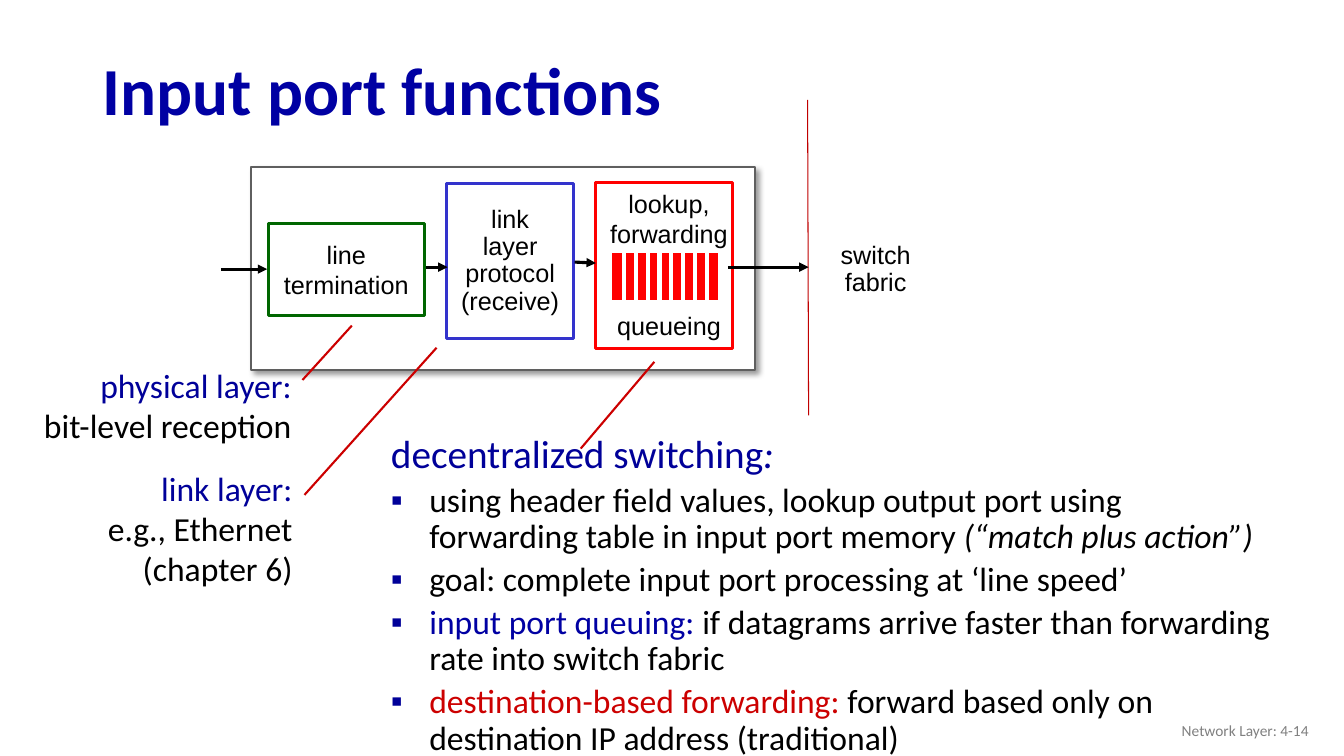
from lxml import etree
from pptx import Presentation
from pptx.dml.color import RGBColor
from pptx.enum.shapes import MSO_CONNECTOR, MSO_SHAPE
from pptx.enum.text import MSO_ANCHOR as Anchor, MSO_AUTO_SIZE as AutoSize, PP_ALIGN as Align
from pptx.oxml import parse_xml
from pptx.oxml.ns import nsdecls, qn
from pptx.util import Inches, Pt

BLACK = RGBColor(0x00, 0x00, 0x00)
WHITE = RGBColor(0xFF, 0xFF, 0xFF)
GRAY = RGBColor(0x80, 0x80, 0x80)
FRAME_GRAY = RGBColor(0x5F, 0x5F, 0x5F)
TITLE_BLUE = RGBColor(0x00, 0x00, 0xA3)
NAVY = RGBColor(0x00, 0x00, 0x99)
BOX_BLUE = RGBColor(0x33, 0x33, 0xCC)
GREEN = RGBColor(0x00, 0x66, 0x00)
RED = RGBColor(0xFF, 0x00, 0x00)
CRIMSON = RGBColor(0xCC, 0x00, 0x00)
DARK_RED = RGBColor(0xC0, 0x00, 0x00)


class SlideBuilder:
    body_font = "Calibri"
    diagram_font = "Arial"

    def __init__(self, slide):
        self.slide = slide

    def add_run(self, paragraph, text, size, color, font=body_font, bold=False, italic=False):
        run = paragraph.add_run()
        run.text = text
        run.font.name = font
        run.font.size = Pt(size)
        run.font.bold = bold
        run.font.italic = italic
        run.font.color.rgb = color

    def title(self, text, left, top, width, height):
        shape = self.slide.shapes.title
        shape.left, shape.top = Inches(left), Inches(top)
        shape.width, shape.height = Inches(width), Inches(height)
        frame = shape.text_frame
        frame.auto_size = AutoSize.NONE
        frame.vertical_anchor = Anchor.MIDDLE
        paragraph = frame.paragraphs[0]
        paragraph.alignment = Align.LEFT
        paragraph.line_spacing = 0.9
        self.add_run(paragraph, text, 48, TITLE_BLUE, bold=True)

    def box(self, left, top, width, height, fill=None, line=None, line_width=2.25):
        shape = self.slide.shapes.add_shape(
            MSO_SHAPE.RECTANGLE, Inches(left), Inches(top), Inches(width), Inches(height))
        shape.shadow.inherit = False
        if fill is None:
            shape.fill.background()
        else:
            shape.fill.solid()
            shape.fill.fore_color.rgb = fill
        if line is None:
            shape.line.fill.background()
        else:
            shape.line.color.rgb = line
            shape.line.width = Pt(line_width)
        return shape

    def cast_shadow(self, shape):
        effects = shape._element.spPr.find(qn("a:effectLst"))
        effects.append(parse_xml(
            f'<a:outerShdw {nsdecls("a")} blurRad="{Pt(4)}" dist="{Pt(3)}" dir="2700000" '
            'algn="tl" rotWithShape="0"><a:srgbClr val="000000"><a:alpha val="40000"/>'
            '</a:srgbClr></a:outerShdw>'))

    def line(self, start, end, color, width, arrow=False):
        connector = self.slide.shapes.add_connector(
            MSO_CONNECTOR.STRAIGHT, *(Inches(value) for value in (*start, *end)))
        connector.line.color.rgb = color
        connector.line.width = Pt(width)
        if arrow:
            etree.SubElement(connector.line._get_or_add_ln(), qn("a:tailEnd"), type="triangle")
        etree.SubElement(connector._element.spPr, qn("a:effectLst"))

    def text_box(self, left, top, width, height):
        return self.slide.shapes.add_textbox(
            Inches(left), Inches(top), Inches(width), Inches(height))

    def write_lines(self, shape, lines, size, font=body_font, align=Align.CENTER,
                    anchor=Anchor.TOP, spacing=1.0):
        """Write one paragraph for each (text, color) pair."""
        frame = shape.text_frame
        frame.word_wrap = False
        frame.vertical_anchor = anchor
        for index, (text, color) in enumerate(lines):
            paragraph = frame.add_paragraph() if index else frame.paragraphs[0]
            paragraph.alignment = align
            paragraph.line_spacing = spacing
            self.add_run(paragraph, text, size, color, font)

    def diagram_label(self, shape, *texts, anchor=Anchor.MIDDLE, spacing=1.0):
        self.write_lines(shape, [(text, BLACK) for text in texts], 18,
                         self.diagram_font, anchor=anchor, spacing=spacing)

    def layer_note(self, position, heading, *details):
        lines = [(heading, NAVY), *((text, BLACK) for text in details)]
        self.write_lines(self.text_box(*position), lines, 24, align=Align.RIGHT)

    def bullet_list(self, position, heading, items):
        frame = self.text_box(*position).text_frame
        frame.word_wrap = True
        paragraph = frame.paragraphs[0]
        paragraph.line_spacing = 0.9
        self.add_run(paragraph, heading, 28, NAVY)
        self.add_run(paragraph, ":", 28, NAVY, italic=True)
        for runs in items:
            paragraph = frame.add_paragraph()
            properties = paragraph._p.get_or_add_pPr()
            properties.set("marL", str(Inches(0.38)))
            properties.set("indent", str(Inches(-0.38)))
            bullet_color = etree.SubElement(properties, qn("a:buClr"))
            etree.SubElement(bullet_color, qn("a:srgbClr"), val=str(NAVY))
            etree.SubElement(properties, qn("a:buFont"), typeface=self.diagram_font)
            etree.SubElement(properties, qn("a:buChar"), char="▪")
            paragraph.line_spacing = 0.9
            paragraph.space_before = Pt(4.8)
            for text, color, italic in runs:
                self.add_run(paragraph, text, 24, color, italic=italic)


def main():
    presentation = Presentation()
    presentation.slide_width = Inches(13.33)
    presentation.slide_height = Inches(7.5)
    builder = SlideBuilder(presentation.slides.add_slide(presentation.slide_layouts[5]))
    builder.title("Input port functions", 0.92, 0.44, 11.5, 0.98)

    # Port frame and switch fabric
    builder.cast_shadow(builder.box(2.49, 1.66, 5, 2.01, WHITE, FRAME_GRAY, 1.5))
    builder.line((8.01, 0.99), (8.02, 4.12), DARK_RED, 0.75)
    fabric = builder.box(8.11, 2.22, 1.15, 0.91, WHITE)
    builder.diagram_label(fabric, "switch", "fabric", spacing=0.9)

    # Line termination and link layer protocol
    termination = builder.box(2.66, 2.22, 1.55, 0.91, WHITE, GREEN)
    builder.diagram_label(termination, "line", "termination")
    protocol = builder.box(4.43, 1.82, 1.26, 1.54, line=BOX_BLUE)
    builder.diagram_label(protocol, "link", "layer", "protocol", "(receive)", spacing=0.9)

    # Lookup, forwarding and the queue
    builder.box(5.91, 1.81, 1.36, 1.65, line=RED)
    builder.diagram_label(builder.text_box(5.95, 1.82, 1.37, 0.7),
                          "lookup,", "forwarding", anchor=Anchor.TOP)
    builder.diagram_label(builder.text_box(5.95, 3.03, 1.37, 0.4), "queueing")
    builder.box(6.05, 2.49, 1.09, 0.51, RED, WHITE, 3)
    for index in range(8):
        x = 6.19 + index * 0.82 / 7
        builder.line((x, 2.5), (x, 2.99), WHITE, 3)

    # Arrows along the data path
    for start, end in [((2.19, 2.67), (2.65, 2.67)), ((4.23, 2.65), (4.44, 2.65)),
                       ((5.7, 2.6), (5.91, 2.61)), ((7.22, 2.65), (8.02, 2.65))]:
        builder.line(start, end, BLACK, 2.25, arrow=True)

    # Notes and the lines that tie them to the diagram
    builder.layer_note((0.28, 3.57, 2.71, 0.91), "physical layer:", "bit-level reception")
    builder.layer_note((0.95, 4.59, 2.05, 1.31), "link layer:", "e.g., Ethernet", "(chapter 6)")
    builder.bullet_list((3.78, 4.26, 8.96, 2.92), "decentralized switching", [
        [("using header field values, lookup output port using forwarding table "
          "in input port memory ", BLACK, False), ("(“match plus action”)", BLACK, True)],
        [("goal: complete input port processing at ‘line speed’", BLACK, False)],
        [("input port queuing: ", TITLE_BLUE, False),
         ("if datagrams arrive faster than forwarding rate into switch fabric", BLACK, False)],
        [("destination-based forwarding: ", CRIMSON, False),
         ("forward based only on destination IP address (traditional)", BLACK, False)],
    ])
    for start, end in [((3, 3.77), (3.49, 3.23)), ((3.02, 4.91), (4.33, 3.45)),
                       ((5.76, 4.45), (6.49, 3.59))]:
        builder.line(start, end, CRIMSON, 1.5)

    # Footer
    builder.write_lines(builder.text_box(10.08, 7.05, 3, 0.4), [("Network Layer: 4-14", GRAY)],
                        11, align=Align.RIGHT, anchor=Anchor.MIDDLE)

    presentation.save("out.pptx")


if __name__ == "__main__":
    main()
